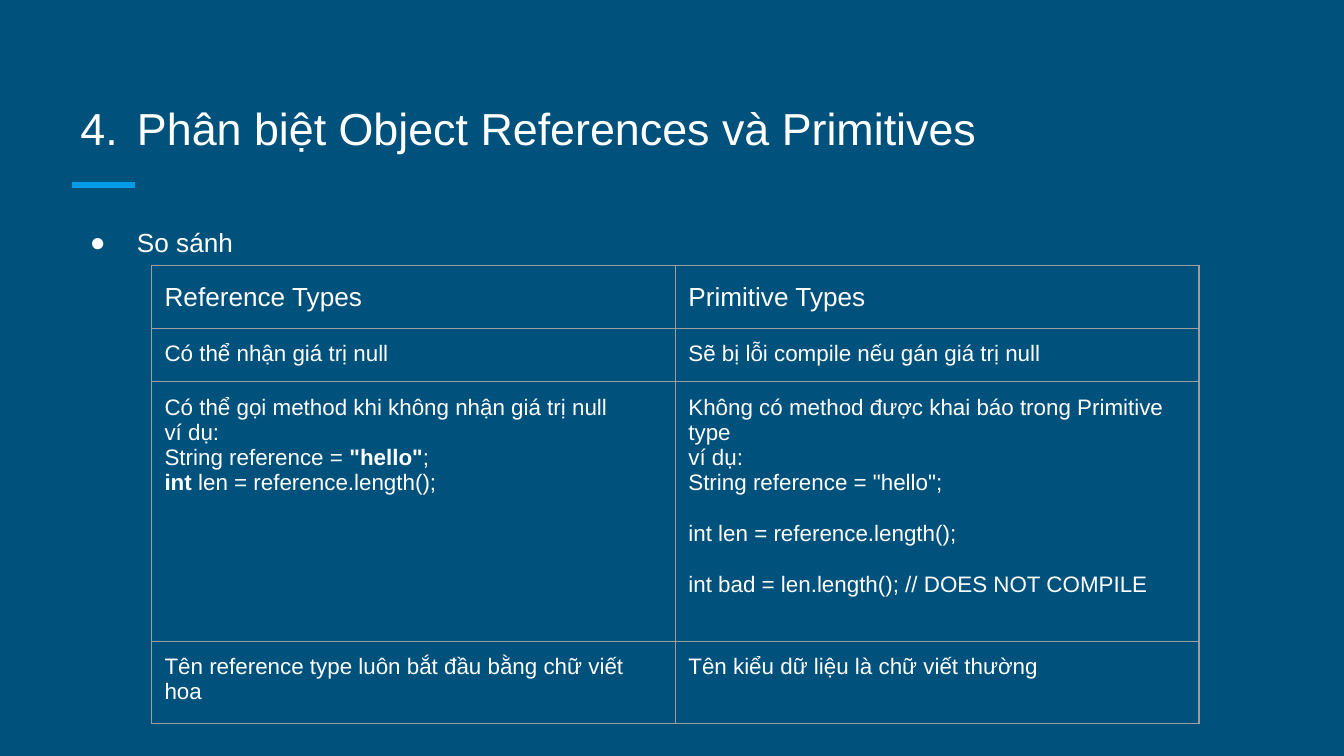
from lxml import etree
from pptx import Presentation
from pptx import util as u
from pptx.dml.color import RGBColor
from pptx.enum import shapes, text
from pptx.oxml import ns

COLORS = {"background": "00517C", "accent": "039BE5", "ink": "FFFFFF", "grid": "9E9E9E"}
FONT = "Arial"
INSET = u.Cm(0.25)
COMPARISON = [
    [[[("Reference Types", False)]], [[("Primitive Types", False)]]],
    [[[("Có thể nhận giá trị null", False)]],
     [[("Sẽ bị lỗi compile nếu gán giá trị null", False)]]],
    [[[("Có thể gọi method khi không nhận giá trị null", False)],
      [("ví dụ:", False)],
      [("String reference = ", False), ('"hello"', True), (";", False)],
      [("int ", True), ("len = reference.length();", False)]],
     [[("Không có method được khai báo trong Primitive type", False)],
      [("ví dụ:", False)],
      [('String reference = "hello";', False)],
      [("int len = reference.length();", False)],
      [("int bad = len.length(); // DOES NOT COMPILE", False)]]],
    [[[("Tên reference type luôn bắt đầu bằng chữ viết hoa", False)]],
     [[("Tên kiểu dữ liệu là chữ viết thường", False)]]],
]
SPACED_LINES = {"int len = reference.length();": (14, 0),
                "int bad = len.length(); // DOES NOT COMPILE": (14, 14)}


def rgb(name):
    """Return the named colour."""
    return RGBColor.from_string(COLORS[name])


def child(parent, tag, **attributes):
    """Append a drawing element to the parent."""
    return etree.SubElement(parent, ns.qn(tag), attributes)


def write_runs(paragraph, runs, size):
    """Add (wording, bold) runs to the paragraph."""
    for wording, bold in runs:
        run = paragraph.add_run()
        run.text = wording
        run.font.name = FONT
        run.font.size = u.Pt(size)
        run.font.bold = bold
        run.font.color.rgb = rgb("ink")


def add_listed_line(slide, box, wording, size, hanging, marker, anchor):
    """Place one line with a hanging number or bullet in the box."""
    frame = slide.shapes.add_textbox(*box).text_frame
    frame.word_wrap = True
    frame.vertical_anchor = anchor
    frame.margin_left = frame.margin_right = INSET
    frame.margin_top = frame.margin_bottom = INSET
    line = frame.paragraphs[0]
    line.line_spacing = 1.15
    write_runs(line, [(wording, False)], size)
    properties = line._p.get_or_add_pPr()
    properties.set("marL", str(u.Cm(1.27)))
    properties.set("indent", str(-hanging))
    child(child(properties, "a:buClr"), "a:srgbClr", val=COLORS["ink"])
    child(properties, "a:buFont", typeface=FONT)
    tag, attributes = marker
    child(properties, tag, **attributes)


def add_accent(slide, left, top, width):
    """Draw the short rule under the title."""
    rule = slide.shapes.add_connector(
        shapes.MSO_CONNECTOR.STRAIGHT, left, top, left + width, top)
    rule.line.color.rgb = rgb("accent")
    rule.line.width = u.Pt(3)
    child(rule._element.spPr, "a:effectLst")


def style_cell(cell):
    """Give the cell its margins, thin borders and clear fill."""
    cell.margin_left = cell.margin_right = INSET
    cell.margin_top = cell.margin_bottom = INSET
    properties = cell._tc.get_or_add_tcPr()
    for side in ("a:lnL", "a:lnR", "a:lnT", "a:lnB"):
        border = child(properties, side, w=str(u.Pt(0.75)))
        child(child(border, "a:solidFill"), "a:srgbClr", val=COLORS["grid"])
    cell.fill.background()


def add_comparison(slide, left, top, width, row_heights):
    """Place the two-column comparison table."""
    columns = len(COMPARISON[0])
    table = slide.shapes.add_table(
        len(COMPARISON), columns, left, top, width, sum(row_heights)).table
    table.first_row = table.horz_banding = False
    for row, height in zip(table.rows, row_heights):
        row.height = height
    for r, entries in enumerate(COMPARISON):
        for c, lines in enumerate(entries):
            cell = table.cell(r, c)
            style_cell(cell)
            for i, runs in enumerate(lines):
                frame = cell.text_frame
                line = frame.add_paragraph() if i else frame.paragraphs[0]
                line.line_spacing = 1.15 if r == 0 else 1.0
                before, after = SPACED_LINES.get(runs[0][0], (0, 0))
                line.space_before, line.space_after = u.Pt(before), u.Pt(after)
                write_runs(line, runs, 14 if r == 0 else 12)


def build_slide(deck):
    """Lay out the title, topic and comparison."""
    slide = deck.slides.add_slide(deck.slide_layouts[6])
    slide.background.fill.solid()
    slide.background.fill.fore_color.rgb = rgb("background")
    left, width = u.Cm(1.07), u.Cm(23.24)
    add_accent(slide, u.Cm(1.36), u.Cm(3.5), u.Cm(1.19))
    add_listed_line(
        slide, (left, u.Cm(1.27), width, u.Cm(1.9)),
        "Phân biệt Object References và Primitives", 24, u.Cm(1.07),
        ("a:buAutoNum", {"type": "arabicPeriod", "startAt": "4"}),
        text.MSO_ANCHOR.BOTTOM)
    add_listed_line(
        slide, (left, u.Cm(3.94), width, u.Cm(0.89)), "So sánh", 14, u.Cm(0.89),
        ("a:buChar", {"char": "●"}), text.MSO_ANCHOR.TOP)
    add_comparison(slide, u.Cm(2.86), u.Cm(5.02), u.Cm(19.8),
                   [u.Cm(h) for h in (1.17, 0.98, 4.91, 1.56)])


def main():
    """Build and save the deck."""
    deck = Presentation()
    deck.slide_width, deck.slide_height = u.Cm(25.4), u.Cm(14.29)
    build_slide(deck)
    deck.save("out.pptx")


if __name__ == "__main__":
    main()
